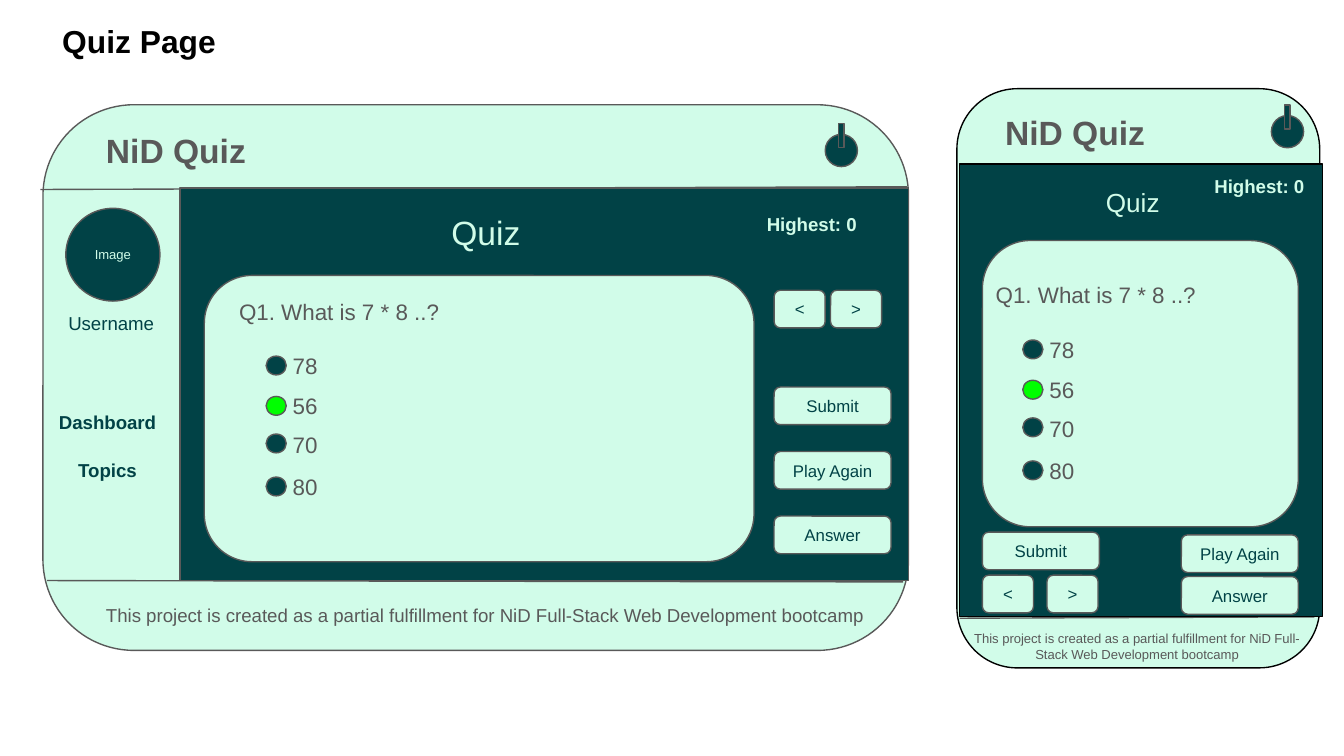
"""Build the quiz page slide with its desktop and phone screens."""
from dataclasses import dataclass

from lxml.etree import SubElement
from pptx import Presentation
from pptx.dml.color import RGBColor
from pptx.enum.shapes import MSO_CONNECTOR, MSO_SHAPE
from pptx.enum.text import MSO_ANCHOR, MSO_AUTO_SIZE, PP_ALIGN
from pptx.oxml.ns import qn
from pptx.util import Inches, Pt


@dataclass(frozen=True)
class Theme:
    font: str = "Arial"
    mint: str = "D1FCE9"
    teal: str = "014246"
    gray: str = "595959"
    black: str = "000000"
    green: str = "00FF00"
    stroke: float = 0.75
    title: int = 17
    brand: int = 18
    head: int = 14
    quiz: int = 12
    label: int = 10
    button: int = 9
    small: int = 7


THEME = Theme()
OVAL, RECT, ROUND = MSO_SHAPE.OVAL, MSO_SHAPE.RECTANGLE, MSO_SHAPE.ROUNDED_RECTANGLE
BRAND = "NiD Quiz"
NOTE = "This project is created as a partial fulfillment for NiD Full-Stack Web Development bootcamp"
CHOICES = (("78", 0, 0.13), ("56", 0.3, 0.43), ("70", 0.59, 0.71), ("80", 0.9, 1.03))


def write(frame, text, size, color, bold=False, center=True):
    frame.word_wrap = True
    frame.margin_left = frame.margin_right = Inches(0.1)
    frame.margin_top = frame.margin_bottom = Inches(0.1)
    line = frame.paragraphs[0]
    line.text = text
    line.alignment = PP_ALIGN.CENTER if center else PP_ALIGN.LEFT
    font = line.font
    font.name, font.size, font.bold = THEME.font, Pt(size), bold
    font.color.rgb = RGBColor.from_string(color)


def add_text(slide, box, text, size, color, bold=False, center=False, grow=True):
    label = slide.shapes.add_textbox(*map(Inches, box))
    write(label.text_frame, text, size, color, bold, center)
    if grow:
        label.text_frame.auto_size = MSO_AUTO_SIZE.SHAPE_TO_FIT_TEXT


def add_label(slide, left, top, text, color):
    box = (left, top, 0.96, 0.24)
    add_text(slide, box, text, THEME.label, color, True, True, False)


def add_shape(slide, kind, box, fill, edge=THEME.gray):
    shape = slide.shapes.add_shape(kind, *map(Inches, box))
    shape.shadow.inherit = False
    shape.fill.solid()
    shape.fill.fore_color.rgb = RGBColor.from_string(fill)
    shape.line.color.rgb = RGBColor.from_string(edge)
    shape.line.width = Pt(THEME.stroke)
    return shape


def add_line(slide, *ends):
    line = slide.shapes.add_connector(MSO_CONNECTOR.STRAIGHT, *map(Inches, ends))
    line.line.color.rgb = RGBColor.from_string(THEME.gray)
    line.line.width = Pt(THEME.stroke)
    SubElement(line._element.spPr, qn("a:effectLst"))


def add_button(slide, left, top, text):
    width = 0.38 if len(text) == 1 else 0.87
    shape = add_shape(slide, ROUND, (left, top, width, 0.28), THEME.mint)
    shape.text_frame.vertical_anchor = MSO_ANCHOR.MIDDLE
    write(shape.text_frame, text, THEME.button, THEME.teal)


def add_power(slide, left, top):
    add_shape(slide, OVAL, (left, top + 0.08, 0.24, 0.24), THEME.teal)
    add_shape(slide, RECT, (left + 0.1, top, 0.04, 0.18), THEME.teal)


def add_quiz(slide, card, ask, left, top):
    add_shape(slide, ROUND, card, THEME.mint)
    add_text(slide, ask, "Q1. What is 7 * 8 ..?", THEME.quiz, THEME.gray)
    for text, drop, dot in CHOICES:
        fill = THEME.green if text == "56" else THEME.teal
        add_text(slide, (left, top + drop, 0.46, 0.4), text, THEME.quiz, THEME.gray)
        add_shape(slide, OVAL, (left - 0.1, top + dot, 0.15, 0.14), fill)


def add_side(slide):
    photo = add_shape(slide, OVAL, (0.49, 1.55, 0.7, 0.69), THEME.teal)
    photo.text_frame.vertical_anchor = MSO_ANCHOR.MIDDLE
    write(photo.text_frame, "Image", THEME.small, THEME.mint)
    add_text(slide, (0.41, 2.24, 0.87, 0.24), "Username", THEME.label, THEME.teal, grow=False)
    for top, text in ((2.97, "Dashboard"), (3.33, "Topics")):
        add_label(slide, 0.32, top, text, THEME.teal)


def add_desktop(slide):
    add_shape(slide, ROUND, (0.32, 0.78, 6.44, 4.06), THEME.mint)
    add_line(slide, 0.3, 1.41, 6.75, 1.39)
    add_line(slide, 1.38, 1.41, 1.34, 4.3)
    add_shape(slide, RECT, (1.34, 1.4, 5.42, 2.92), THEME.teal)
    add_line(slide, 0.35, 4.32, 6.72, 4.33)
    add_text(slide, (0.69, 0.87, 1.51, 0.5), BRAND, THEME.brand, THEME.gray, True)
    add_text(slide, (0.69, 4.41, 5.94, 0.37), NOTE, THEME.label, THEME.gray)
    add_power(slide, 6.14, 0.92)
    add_side(slide)
    add_text(slide, (3.26, 1.48, 0.78, 0.5), "Quiz", THEME.brand, THEME.mint)
    add_label(slide, 5.56, 1.5, "Highest: 0", THEME.mint)
    add_quiz(slide, (1.52, 2.05, 4.09, 2.13), (1.68, 2.12, 3.25, 0.4), 2.08, 2.52)
    for col, text in enumerate("<>"):
        add_button(slide, 5.76 + col * 0.42, 2.16, text)
    for row, text in enumerate(("Submit", "Play Again", "Answer")):
        add_button(slide, 5.76, 2.88 + row * 0.48, text)


def add_phone(slide):
    add_shape(slide, ROUND, (7.12, 0.66, 2.7, 4.31), THEME.mint, THEME.black)
    for top in (1.22, 4.59):
        add_line(slide, 7.14, top + 0.01, 9.78, top)
    add_shape(slide, RECT, (7.14, 1.22, 2.7, 3.37), THEME.teal, THEME.black)
    add_text(slide, (7.38, 0.73, 1.51, 0.5), BRAND, THEME.brand, THEME.gray, True)
    add_text(slide, (7.14, 4.59, 2.64, 0.44), NOTE, THEME.small, THEME.gray, center=True)
    add_power(slide, 9.46, 0.78)
    add_text(slide, (8.13, 1.29, 0.7, 0.44), "Quiz", THEME.head, THEME.mint)
    add_label(slide, 8.89, 1.22, "Highest: 0", THEME.mint)
    add_quiz(slide, (7.31, 1.79, 2.35, 2.13), (7.31, 1.99, 2.29, 0.4), 7.71, 2.4)
    for left, top, text in (
        (7.31, 3.96, "Submit"),
        (8.79, 3.98, "Play Again"),
        (7.31, 4.28, "<"),
        (7.79, 4.28, ">"),
        (8.79, 4.29, "Answer"),
    ):
        add_button(slide, left, top, text)


def main():
    deck = Presentation()
    deck.slide_width, deck.slide_height = Inches(10), Inches(10 * 9 / 16)
    slide = deck.slides.add_slide(deck.slide_layouts[6])
    add_text(slide, (0.23, 0.06, 1.61, 0.49), "Quiz Page", THEME.title, THEME.black, True, True)
    add_desktop(slide)
    add_phone(slide)
    deck.save("out.pptx")


if __name__ == "__main__":
    main()
